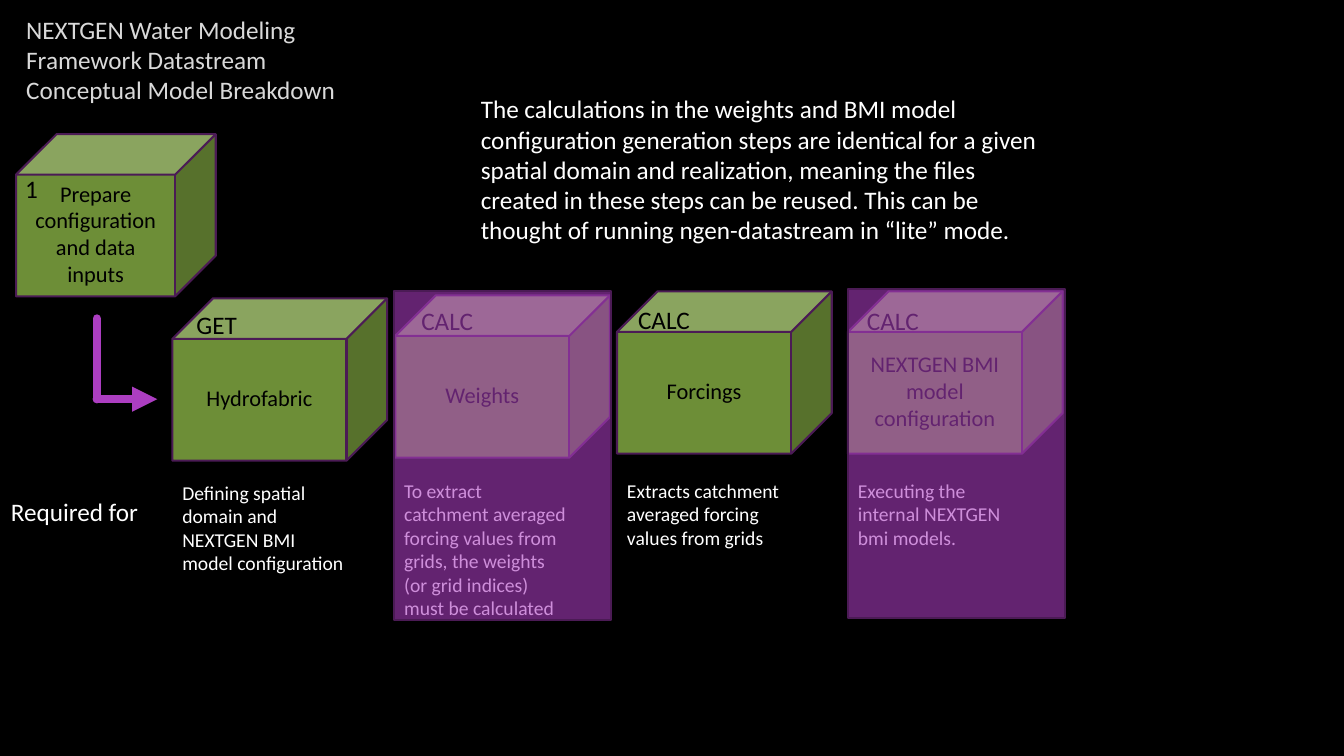
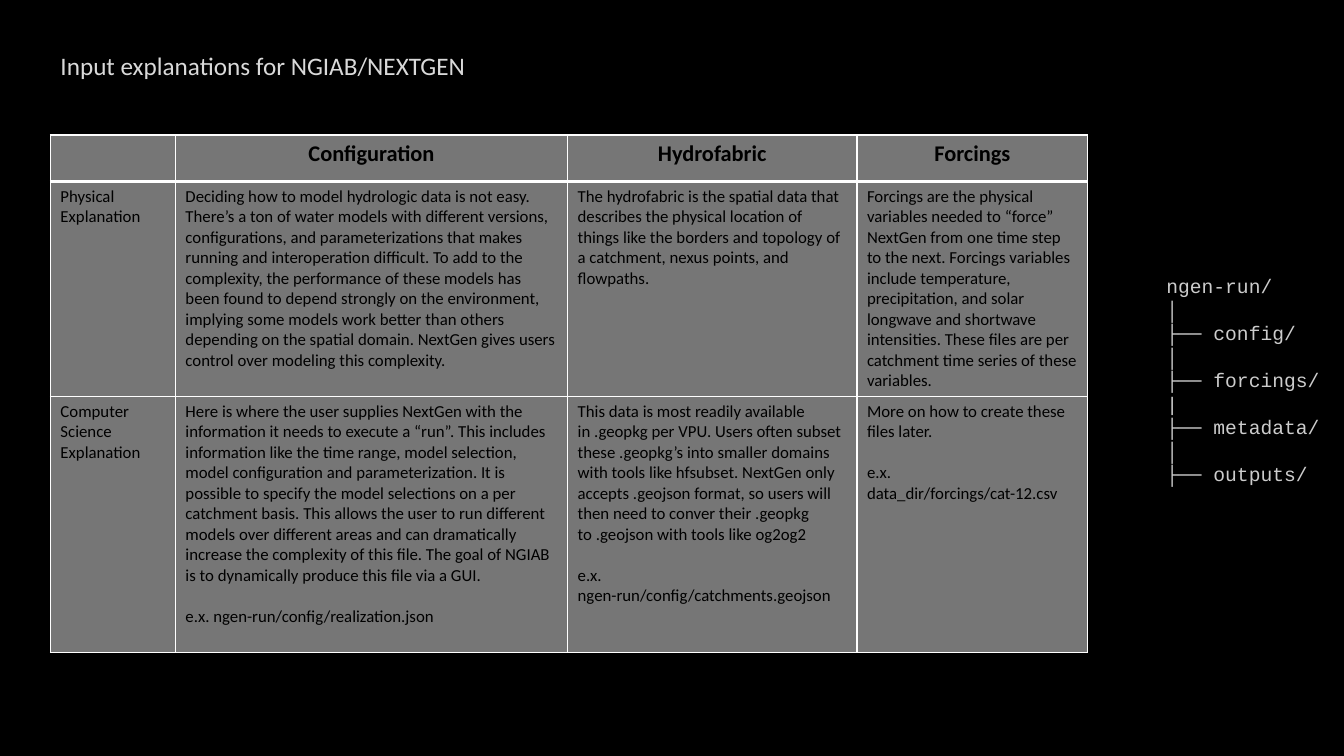
import pptx
import pptx.util
import pptx.dml.color
import pptx.enum.shapes
import pptx.enum.text
from lxml import etree
from pptx.oxml.ns import qn

Inches = pptx.util.Inches
Pt = pptx.util.Pt
ALIGN = pptx.enum.text.PP_ALIGN
ANCHOR = pptx.enum.text.MSO_ANCHOR
SHAPE = pptx.enum.shapes.MSO_SHAPE

# Shared style
BLACK, WHITE = "000000", "FFFFFF"
TITLE_GREY, TREE_GREY, CELL_GREY = "D9D9D9", "CCCCCC", "767676"
GREEN, PLUM, PURPLE = "6D8E37", "4B1B55", "AC3EC1"
CUBE_HEIGHT = 1.61

# Steps: verb, name, explanation, cube (left, top, width), verb (left, top),
# explanation (left, top, height), top of the cover for a reusable step
STEPS = [
    ("GET", "Hydrofabric",
     "Defining spatial domain and NEXTGEN BMI model configuration",
     (1.71, 2.96, 2.13), (1.85, 3.02), (1.71, 4.72, 1.04), None),
    ("CALC", "Weights",
     "To extract catchment averaged forcing values from grids, the weights "
     "(or grid indices) must be calculated",
     (3.92, 2.93, 2.13), (4.08, 2.98), (3.91, 4.7, 1.51), 2.89),
    ("CALC", "Forcings",
     "Extracts catchment averaged forcing values from grids",
     (6.12, 2.89, 2.13), (6.23, 2.97), (6.12, 4.7, 0.81), None),
    ("CALC", "NEXTGEN BMI model configuration",
     "Executing the internal NEXTGEN bmi models.",
     (8.41, 2.89, 2.13), (8.5, 2.98), (8.41, 4.7, 0.81), 2.87),
]

# Each cell is a list of blocks; a block is a list of lines
INPUT_ROWS = [
    [[], [["Configuration"]], [["Hydrofabric"]], [["Forcings"]]],
    [
        [["Physical Explanation"]],
        [["Deciding how to model hydrologic data is not easy. There’s a ton of "
          "water models with different versions, configurations, and "
          "parameterizations that makes running and interoperation difficult. "
          "To add to the complexity, the performance of these models has been "
          "found to depend strongly on the environment, implying some models "
          "work better than others depending on the spatial domain. NextGen "
          "gives users control over modeling this complexity."]],
        [["The hydrofabric is the spatial data that describes the physical "
          "location of things like the borders and topology of a catchment, "
          "nexus points, and flowpaths."]],
        [["Forcings are the physical variables needed to “force” NextGen from "
          "one time step to the next. Forcings variables include temperature, "
          "precipitation, and solar longwave and shortwave intensities. These "
          "files are per catchment time series of these variables."]],
    ],
    [
        [["Computer Science Explanation"]],
        [["Here is where the user supplies NextGen with the information it "
          "needs to execute a “run”. This includes information like the time "
          "range, model selection, model configuration and parameterization. "
          "It is possible to specify the model selections on a per catchment "
          "basis. This allows the user to run different models over different "
          "areas and can dramatically increase the complexity of this file. "
          "The goal of NGIAB is to dynamically produce this file via a GUI."],
         ["e.x. ngen-run/config/realization.json"]],
        [["This data is most readily available in .geopkg per VPU. Users often "
          "subset these .geopkg’s into smaller domains with tools like "
          "hfsubset. NextGen only accepts .geojson format, so users will then "
          "need to conver their .geopkg to .geojson with tools like og2og2"],
         ["e.x. ngen-run/config/catchments.geojson"]],
        [["More on how to create these files later."],
         ["e.x.", "data_dir/forcings/cat-12.csv"]],
    ],
]
COLUMN_WIDTHS = [1.24, 3.89, 2.87, 2.29]
ROW_HEIGHTS = [0.46, 2.12, 2.54]

RUN_TREE = ["ngen-run/", "│", "├── config/", "│", "├── forcings/", "|",
            "├── metadata/", "│", "├── outputs/"]


def rgb(hex_color):
    return pptx.dml.color.RGBColor.from_string(hex_color)


def box(left, top, width, height):
    return Inches(left), Inches(top), Inches(width), Inches(height)


def write(frame, lines, size=18, color=WHITE, font="Calibri", bold=False,
          align=ALIGN.LEFT, anchor=ANCHOR.TOP, wrap=True):
    """Fill a text frame with one paragraph per line."""
    frame.word_wrap = wrap
    frame.auto_size = pptx.enum.text.MSO_AUTO_SIZE.NONE
    frame.vertical_anchor = anchor
    write_lines(frame, lines, size, color, font, bold, align)


def write_lines(frame, lines, size, color, font="Calibri", bold=False,
                align=ALIGN.LEFT):
    for index, line in enumerate(lines):
        paragraph = frame.paragraphs[0] if index == 0 else frame.add_paragraph()
        paragraph.alignment = align
        run = paragraph.add_run()
        run.text = line
        run.font.name = font
        run.font.size = Pt(size)
        run.font.bold = bold
        run.font.color.rgb = rgb(color)


def add_text(slide, place, lines, **text_format):
    label = slide.shapes.add_textbox(*box(*place))
    write(label.text_frame, lines, **text_format)


def add_titled_slide(deck, title, place, wrap=True):
    slide = deck.slides.add_slide(deck.slide_layouts[5])
    slide.background.fill.solid()
    slide.background.fill.fore_color.rgb = rgb(BLACK)
    heading = slide.shapes.title
    heading.left, heading.top, heading.width, heading.height = box(*place)
    write(heading.text_frame, [title], color=TITLE_GREY, wrap=wrap)
    return slide


def add_block(slide, kind, place, fill, outline=PLUM, weight=1.5):
    block = slide.shapes.add_shape(kind, *box(*place))
    block.shadow.inherit = False
    block.fill.solid()
    block.fill.fore_color.rgb = rgb(fill)
    block.line.color.rgb = rgb(outline)
    block.line.width = Pt(weight)
    return block


def add_cube(slide, left, top, width, name):
    cube = add_block(slide, SHAPE.CUBE, (left, top, width, CUBE_HEIGHT), GREEN)
    cube.text_frame.margin_bottom = Inches(0.09)
    write(cube.text_frame, [name], size=16, color=BLACK,
          align=ALIGN.CENTER, anchor=ANCHOR.MIDDLE)


def add_cover(slide, left, top):
    """Lay a translucent panel over a step that can be reused."""
    cover = add_block(slide, SHAPE.RECTANGLE, (left, top, 2.15, 3.26), PURPLE)
    color = cover._element.spPr.find(qn("a:solidFill"))[0]
    etree.SubElement(color, qn("a:alpha"), val="58000")


def add_line(slide, start, end, arrow=False):
    line = slide.shapes.add_connector(
        pptx.enum.shapes.MSO_CONNECTOR.STRAIGHT,
        *map(Inches, start + end))
    line.line.color.rgb = rgb(PURPLE)
    line.line.width = Pt(6)
    outline = line._element.spPr.find(qn("a:ln"))
    outline.set("cap", "rnd")
    etree.SubElement(outline, qn("a:round"))
    if arrow:
        etree.SubElement(outline, qn("a:tailEnd"), type="triangle")
    etree.SubElement(line._element.spPr, qn("a:effectLst"))


def add_step(slide, verb, name, explanation, cube, verb_at, note_at, cover_top):
    add_cube(slide, *cube, name)
    note_left, note_top, note_height = note_at
    add_text(slide, (note_left, note_top, 1.85, note_height), [explanation],
             size=14)
    verb_width = 0.61 if verb == "GET" else 0.72
    add_text(slide, (*verb_at, verb_width, 0.4), [verb], color=BLACK, wrap=False)
    if cover_top is not None:
        add_cover(slide, note_left, cover_top)


def set_borders(cell, top, bottom):
    properties = cell._tc.get_or_add_tcPr()
    for side, points in (("L", 1), ("R", 1), ("T", top), ("B", bottom)):
        edge = etree.SubElement(properties, qn(f"a:ln{side}"), w=str(Pt(points)))
        paint = etree.SubElement(edge, qn("a:solidFill"))
        etree.SubElement(paint, qn("a:srgbClr"), val=WHITE)


def fill_cell(cell, blocks, row):
    header = row == 0
    set_borders(cell, top=3 if row == 1 else 1, bottom=3 if header else 1)
    cell.fill.solid()
    cell.fill.fore_color.rgb = rgb(CELL_GREY)
    write_lines(cell.text_frame, sum(blocks, []), size=16 if header else 12,
                color=BLACK, bold=header,
                align=ALIGN.CENTER if header else ALIGN.LEFT)
    # A gap of one line separates the example from the explanation
    if len(blocks) > 1:
        example = cell.text_frame.paragraphs[len(blocks[0])]
        example.space_before = Pt(14.65)


def add_input_table(slide, left, top):
    table = slide.shapes.add_table(
        len(ROW_HEIGHTS), len(COLUMN_WIDTHS),
        *box(left, top, sum(COLUMN_WIDTHS), sum(ROW_HEIGHTS))).table
    table.horz_banding = False
    for column, width in zip(table.columns, COLUMN_WIDTHS):
        column.width = Inches(width)
    for row, height in enumerate(ROW_HEIGHTS):
        table.rows[row].height = Inches(height)
        for column, blocks in enumerate(INPUT_ROWS[row]):
            fill_cell(table.cell(row, column), blocks, row)


def build_breakdown(deck):
    slide = add_titled_slide(
        deck,
        "NEXTGEN Water Modeling Framework Datastream Conceptual Model Breakdown",
        (0.16, 0.09, 3.46, 1.01))

    # Starting step and the arrow to what it requires
    add_cube(slide, 0.16, 1.33, 1.98, "Prepare configuration and data inputs")
    add_text(slide, (0.15, 1.67, 0.33, 0.4), ["1"], color=BLACK, wrap=False)
    corner = (0.96, 3.96)
    add_line(slide, corner, (1.56, 3.96), arrow=True)
    add_line(slide, (0.96, 3.16), corner)
    add_text(slide, (0.01, 4.87, 1.48, 0.4), ["Required for"], wrap=False)

    # Steps and the remark on reuse
    for step in STEPS:
        add_step(slide, *step)
    add_text(slide, (4.67, 0.88, 5.72, 1.62), [
        "The calculations in the weights and BMI model configuration generation "
        "steps are identical for a given spatial domain and realization, meaning "
        "the files created in these steps can be reused. This can be thought of "
        "running ngen-datastream in “lite” mode."])


def build_inputs(deck):
    slide = add_titled_slide(deck, "Input explanations for NGIAB/NEXTGEN",
                             (0.5, 0.45, 4.26, 0.4), wrap=False)
    add_input_table(slide, 0.5, 1.34)

    # Terminal panel with the run directory
    add_block(slide, SHAPE.ROUNDED_RECTANGLE, (11.32, 2.47, 1.77, 2.54), BLACK,
              outline=BLACK, weight=3)
    add_text(slide, (11.47, 2.67, 1.86, 2.54), RUN_TREE, size=14,
             color=TREE_GREY, font="Courier New")


def main():
    deck = pptx.Presentation()
    deck.slide_width, deck.slide_height = Inches(13.33), Inches(7.5)
    build_breakdown(deck)
    build_inputs(deck)
    deck.save("out.pptx")


if __name__ == "__main__":
    main()
